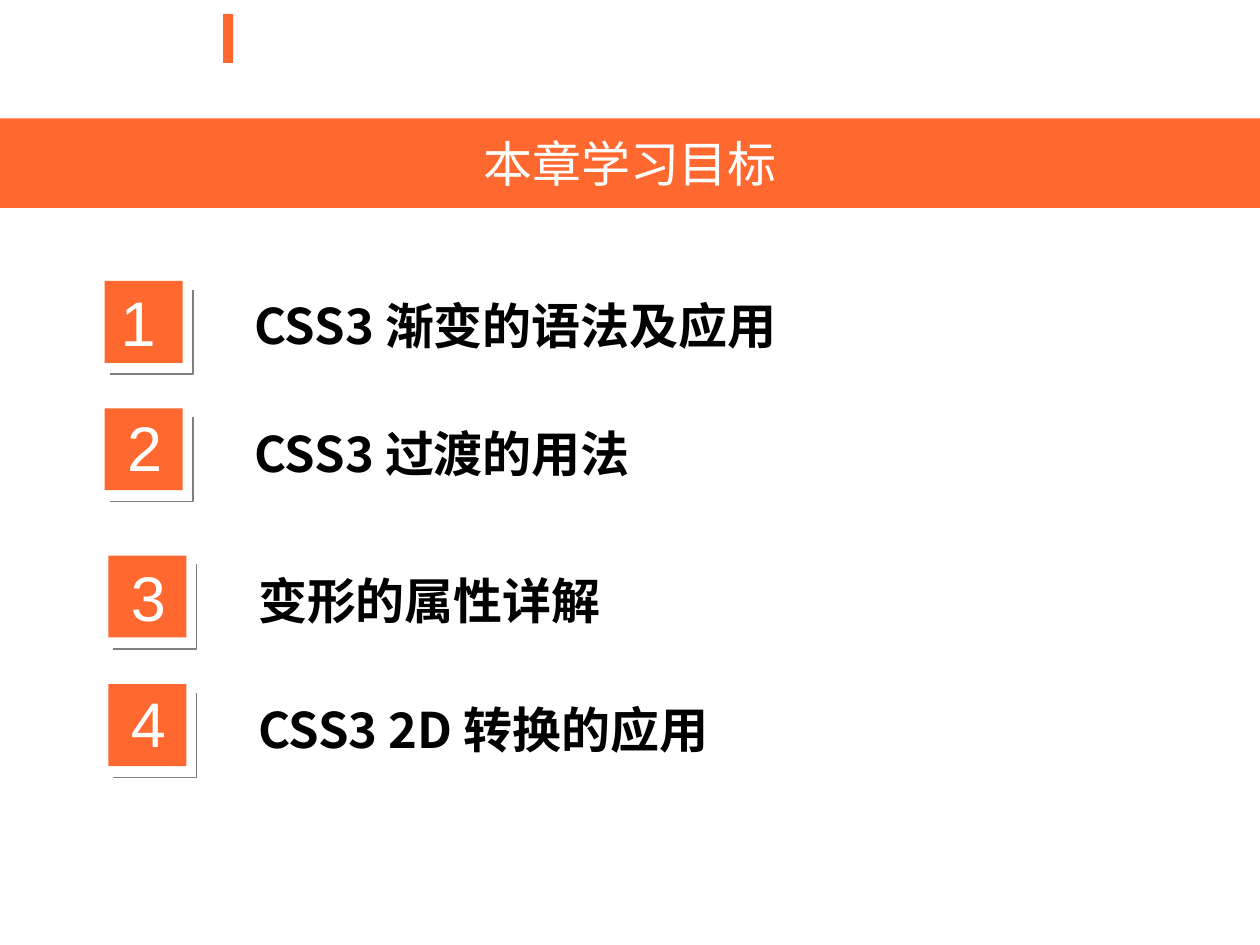
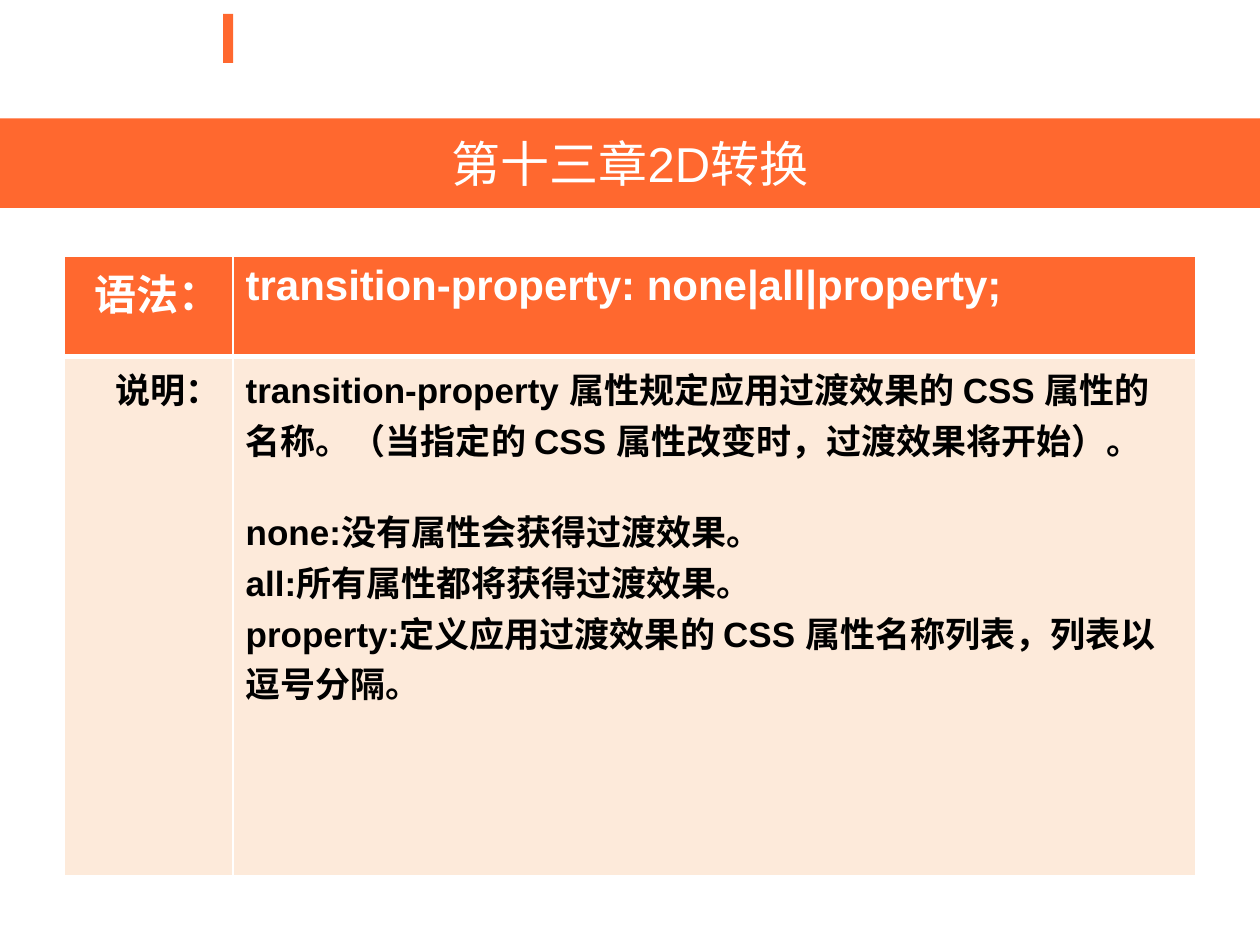
from lxml import etree
from pptx import Presentation
from pptx.dml.color import RGBColor
from pptx.enum import shapes, text
from pptx.oxml import ns
from pptx.util import Inches, Pt

ORANGE, PALE, GREY, WHITE, BLACK = "FF682F", "FDEADA", "7F7F7F", "FFFFFF", "000000"
LATIN, CJK = "Arial", "Noto Sans CJK SC"


def paint(target, color):
    """Give a shape or cell a solid fill, and a shape no line or shadow."""
    target.fill.solid()
    target.fill.fore_color.rgb = RGBColor.from_string(color)
    if hasattr(target, "line"):
        target.line.fill.background()
        target.shadow.inherit = False


def style(tf, size, color, bold=False, font=LATIN, align=text.PP_ALIGN.LEFT):
    for p in tf.paragraphs:
        p.alignment = align
        for r in p.runs:
            r.font.size, r.font.bold, r.font.name = Pt(size), bold, font
            r.font.color.rgb = RGBColor.from_string(color)
            ea = etree.SubElement(r.font._element, ns.qn("a:ea"))
            ea.set("typeface", CJK)


prs = Presentation()
prs.slide_width, prs.slide_height = Inches(10), Inches(7.5)

# Shared mark and title band
for title in ("本章学习目标", "第十三章2D转换"):
    s = prs.slides.add_slide(prs.slide_layouts[5])
    mark = s.shapes.add_shape(shapes.MSO_SHAPE.RECTANGLE, Inches(1.77), Inches(0.11),
                              Inches(0.08), Inches(0.39))
    paint(mark, ORANGE)
    band = s.shapes.title
    band.left, band.top, band.width, band.height = Inches(0), Inches(0.94), Inches(10), Inches(0.71)
    band.fill.solid()
    band.fill.fore_color.rgb = RGBColor.from_string(ORANGE)
    band.text_frame.text = title
    band.text_frame.vertical_anchor = text.MSO_ANCHOR.MIDDLE
    style(band.text_frame, 28, WHITE, align=text.PP_ALIGN.CENTER)

goals_slide, syntax_slide = prs.slides

# Slide 1: numbered goals; left, top, left of the digit, top of the digit
goals = [
    ("CSS3 渐变的语法及应用", 0.83, 2.23, 0.86, 2.2),
    ("CSS3 过渡的用法", 0.83, 3.24, 0.91, 3.19),
    ("变形的属性详解", 0.86, 4.41, 0.94, 4.38),
    ("CSS3 2D 转换的应用", 0.86, 5.43, 0.94, 5.38),
]
for number, (goal, x, y, digit_x, digit_y) in enumerate(goals, 1):
    square = goals_slide.shapes.add_shape(shapes.MSO_SHAPE.RECTANGLE, Inches(x), Inches(y),
                                          Inches(0.62), Inches(0.65))
    paint(square, ORANGE)

    left, right, top, bottom = (Inches(v) for v in (x + 0.04, x + 0.7, y + 0.07, y + 0.74))
    outline = goals_slide.shapes.build_freeform(left, bottom)
    outline.add_line_segments([(right, bottom), (right, top)], close=False)
    corner = outline.convert_to_shape()
    corner.shadow.inherit = False
    corner.fill.background()
    corner.line.color.rgb = RGBColor.from_string(GREY)
    corner.line.width = Pt(1)

    digit = goals_slide.shapes.add_textbox(Inches(digit_x), Inches(digit_y), Inches(0.51), Inches(0.71))
    digit.text_frame.text = str(number)
    style(digit.text_frame, 36, WHITE)

    label = goals_slide.shapes.add_textbox(Inches(x + 1.09), Inches(y + 0.07), Inches(7.69), Inches(0.57))
    label.text_frame.word_wrap = True
    label.text_frame.text = goal
    style(label.text_frame, 28, BLACK, bold=True, font=CJK)

# Slide 2: syntax table
rows = [
    ("语法：", "transition-property: none|all|property;"),
    ("说明：", "transition-property 属性规定应用过渡效果的 CSS 属性的名称。"
     "（当指定的 CSS 属性改变时，过渡效果将开始）。\n"
     "none:没有属性会获得过渡效果。\n"
     "all:所有属性都将获得过渡效果。\n"
     "property:定义应用过渡效果的 CSS 属性名称列表，列表以逗号分隔。"),
]
row_styles = [(0.8, ORANGE, WHITE, 24), (4.12, PALE, BLACK, 20)]
table = syntax_slide.shapes.add_table(2, 2, Inches(0.51), Inches(2.03), Inches(8.98), Inches(4.92)).table
for column, width in zip(table.columns, (1.34, 7.64)):
    column.width = Inches(width)

for i, (height, fill, color, size) in enumerate(row_styles):
    table.rows[i].height = Inches(height)
    for j, align in enumerate((text.PP_ALIGN.RIGHT, text.PP_ALIGN.LEFT)):
        cell = table.cell(i, j)
        cell.text_frame.text = rows[i][j]
        style(cell.text_frame, size, color, bold=True, align=align)
        tc_pr = cell._tc.get_or_add_tcPr()
        for side in ("lnL", "lnR", "lnT", "lnB"):
            divider = (i, side) in ((0, "lnB"), (1, "lnT"))
            ln = etree.SubElement(tc_pr, ns.qn(f"a:{side}"), w=str(Pt(3 if divider else 1)))
            solid = etree.SubElement(ln, ns.qn("a:solidFill"))
            etree.SubElement(solid, ns.qn("a:srgbClr"), val=WHITE)
        paint(cell, fill)

# Gap between the description and the list of values
table.cell(1, 1).text_frame.paragraphs[1].space_before = Pt(23)

prs.save("out.pptx")
